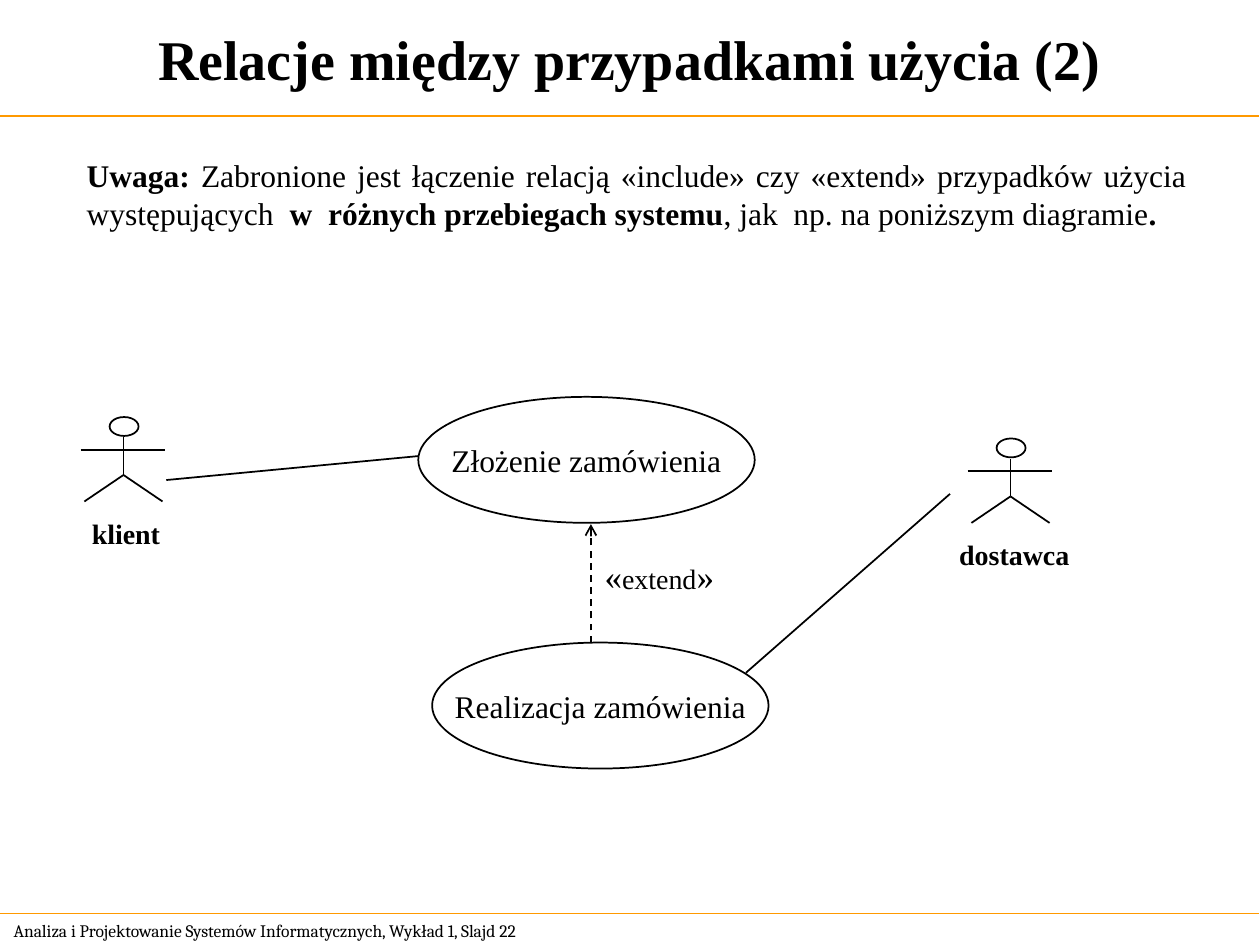
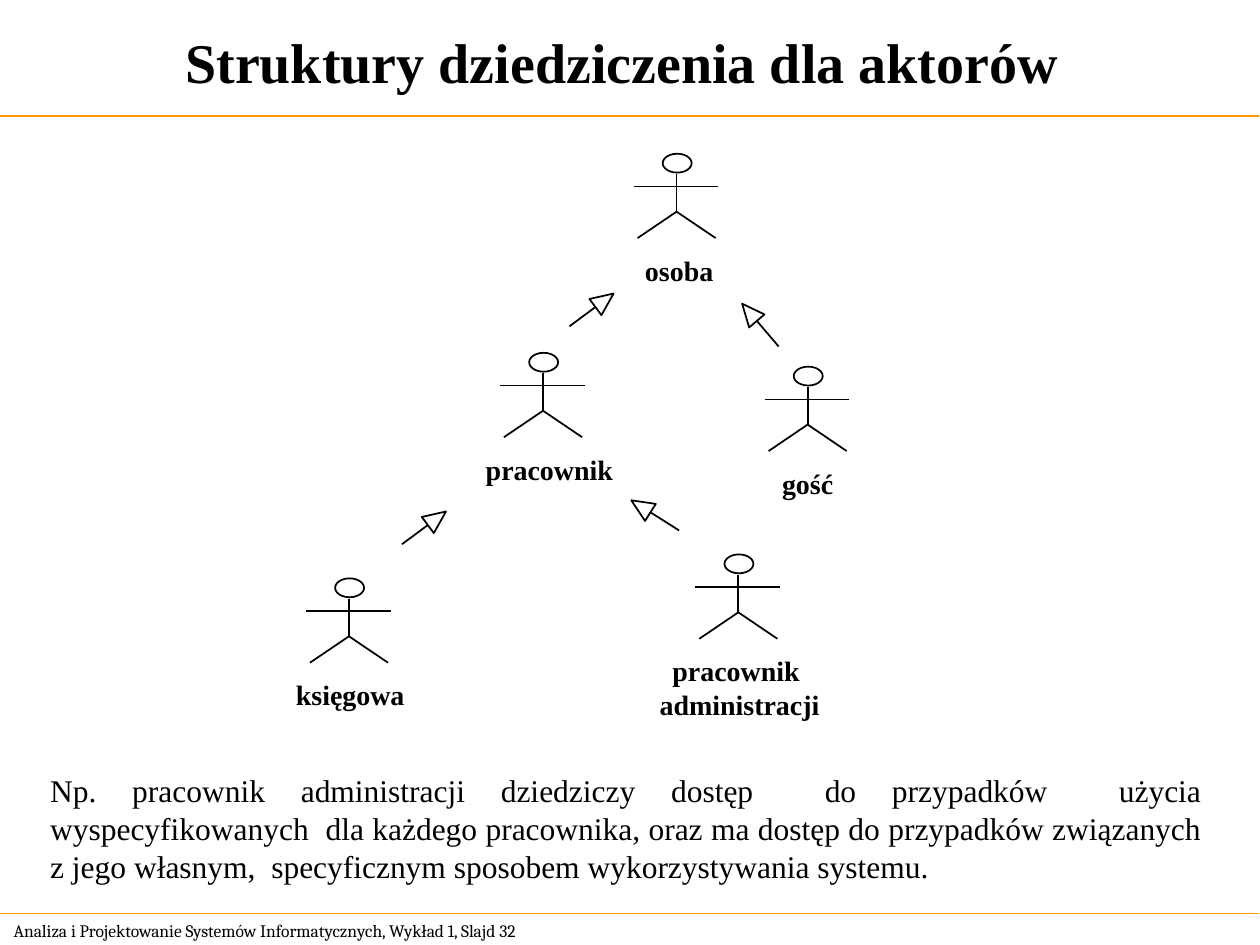
from dataclasses import dataclass
from math import atan2, cos, degrees, sin

from pptx import Presentation
from pptx.dml.color import RGBColor
from pptx.enum.dml import MSO_LINE
from pptx.enum.shapes import MSO_CONNECTOR, MSO_SHAPE
from pptx.enum.text import MSO_ANCHOR, PP_ALIGN
from pptx.oxml.ns import qn
from pptx.util import Inches, Pt


@dataclass(frozen=True)
class Theme:
    ink: RGBColor = RGBColor(0x00, 0x00, 0x00)
    paper: RGBColor = RGBColor(0xFF, 0xFF, 0xFF)
    rule: RGBColor = RGBColor(0xFF, 0x99, 0x00)
    font: str = "Times New Roman"
    footer_font: str = "Cambria"
    title: int = 32
    body: int = 18
    label: int = 16
    footer: int = 10
    rule_width: float = 0.75
    line_width: float = 1


THEME = Theme()

# A line of text is a string or a list of runs: (text, bold, size).
# Actors are (label lines, spine x, top of head, label centre x).
RELATIONS = {
    "title": "Relacje między przypadkami użycia (2)",
    "number": 22,
    "note": [
        ("Uwaga: ", True, THEME.body),
        ("Zabronione jest łączenie relacją «include» czy «extend» przypadków użycia "
         "występujących  ", False, THEME.body),
        ("w  różnych przebiegach systemu", True, THEME.body),
        (", jak  np. na poniższym diagramie", False, THEME.body),
        (".", True, THEME.body),
    ],
    "note_box": (0.59, 1.19, 8.93, 0.7),
    "actors": [
        (["klient"], 0.98, 3.31, 1.0),
        (["dostawca"], 8.02, 3.48, 8.05),
    ],
    "use_cases": [
        ("Złożenie zamówienia", 3.32, 3.15),
        ("Realizacja zamówienia", 3.43, 5.1),
    ],
    "associations": [
        ((1.32, 3.81), (3.32, 3.62)),
        ((7.54, 3.92), (5.92, 5.34)),
    ],
    "extend": ((4.69, 5.1), (4.69, 4.16)),
    "extend_label": [("«", False, 20), ("extend", False, THEME.label), ("»", False, 20)],
    "extend_box": (4.7, 4.35, 1.07, 0.44),
}

INHERITANCE = {
    "title": [
        ("Struktury dziedziczenia dla aktorów", True, THEME.title),
        (" ", True, 36),
    ],
    "number": 32,
    "note": "Np. pracownik administracji dziedziczy dostęp  do przypadków  użycia "
            "wyspecyfikowanych  dla każdego pracownika, oraz ma dostęp do przypadków "
            "związanych z jego własnym,  specyficznym sposobem wykorzystywania systemu.",
    "note_box": (0.3, 6.07, 9.34, 1),
    "actors": [
        (["osoba"], 5.37, 1.22, 5.39),
        (["gość"], 6.41, 2.91, 6.41),
        (["pracownik"], 4.31, 2.8, 4.36),
        (["księgowa"], 2.77, 4.59, 2.78),
        (["pracownik ", "administracji"], 5.86, 4.4, 5.87),
    ],
    "generalizations": [  # (tail, tip)
        ((6.18, 2.75), (5.89, 2.41)),
        ((4.52, 2.59), (4.87, 2.33)),
        ((5.39, 4.21), (5.01, 3.97)),
        ((3.19, 4.32), (3.54, 4.06)),
    ],
}

FOOTER = "Analiza i Projektowanie Systemów Informatycznych, Wykład 1, Slajd {}"
HEADER_Y, FOOTER_Y = 0.92, 7.25
USE_CASE_SIZE = (2.67, 1)
TRIANGLE_WIDTH, TRIANGLE_HEIGHT = 0.16, 0.18


def inches(*lengths):
    return [Inches(length) for length in lengths]


def write(frame, lines, size, bold=False, align=PP_ALIGN.LEFT, font=THEME.font):
    for index, line in enumerate(lines):
        paragraph = frame.paragraphs[0] if index == 0 else frame.add_paragraph()
        paragraph.alignment = align
        paragraph.font.name = font
        paragraph.font.size = Pt(size)
        paragraph.font.bold = bold
        paragraph.font.color.rgb = THEME.ink
        if isinstance(line, str):
            paragraph.add_run().text = line
            continue
        for text, run_bold, run_size in line:
            run = paragraph.add_run()
            run.text = text
            run.font.bold = run_bold
            run.font.size = Pt(run_size)


def add_text(shapes, box, lines, size, wrap=True, anchor=MSO_ANCHOR.TOP, **style):
    frame = shapes.add_textbox(*inches(*box)).text_frame
    frame.word_wrap = wrap
    frame.vertical_anchor = anchor
    write(frame, lines, size, **style)


def add_line(shapes, start, end, color=THEME.ink, width=THEME.line_width):
    connector = shapes.add_connector(MSO_CONNECTOR.STRAIGHT, *inches(*start, *end))
    connector.line.color.rgb = color
    connector.line.width = Pt(width)
    properties = connector._element.spPr
    properties.append(properties.makeelement(qn("a:effectLst"), {}))
    return connector


def add_outline(shapes, preset, box, filled=True):
    outline = shapes.add_shape(preset, *inches(*box))
    outline.shadow.inherit = False
    if filled:
        outline.fill.solid()
        outline.fill.fore_color.rgb = THEME.paper
    else:
        outline.fill.background()
    outline.line.color.rgb = THEME.ink
    outline.line.width = Pt(THEME.line_width)
    return outline


def add_actor(slide, label, x, top, label_x):
    figure = slide.shapes.add_group_shape().shapes
    add_outline(figure, MSO_SHAPE.OVAL, (x - 0.11, top, 0.23, 0.15), filled=False)
    hip = (x, top + 0.46)
    add_line(figure, (x, top + 0.16), hip)
    add_line(figure, (x - 0.34, top + 0.26), (x + 0.33, top + 0.26))
    for side in (-1, 1):
        add_line(figure, hip, (x + side * 0.31, top + 0.67))
    width, height = 1.47, 0.1 + 0.27 * len(label)
    add_text(slide.shapes, (label_x - width / 2, top + 0.74, width, height), label,
             THEME.label, wrap=False, bold=True, align=PP_ALIGN.CENTER)


def add_use_case(slide, name, left, top):
    ellipse = add_outline(slide.shapes, MSO_SHAPE.OVAL, (left, top, *USE_CASE_SIZE))
    ellipse.text_frame.word_wrap = False
    ellipse.text_frame.vertical_anchor = MSO_ANCHOR.MIDDLE
    write(ellipse.text_frame, [name], THEME.body, align=PP_ALIGN.CENTER)


def add_generalization(slide, tail, tip):
    """Line from the child ending in a hollow triangle that points at the parent."""
    angle = atan2(tip[0] - tail[0], tail[1] - tip[1])

    def behind_tip(distance):
        return tip[0] - distance * sin(angle), tip[1] + distance * cos(angle)

    arrow = slide.shapes.add_group_shape().shapes
    x, y = behind_tip(TRIANGLE_HEIGHT / 2)
    triangle = add_outline(arrow, MSO_SHAPE.ISOSCELES_TRIANGLE, (
        x - TRIANGLE_WIDTH / 2, y - TRIANGLE_HEIGHT / 2, TRIANGLE_WIDTH, TRIANGLE_HEIGHT))
    triangle.rotation = degrees(angle) % 360
    add_line(arrow, behind_tip(TRIANGLE_HEIGHT), tail)


def add_extend(slide, start, end):
    connector = add_line(slide.shapes, start, end)
    connector.line.dash_style = MSO_LINE.DASH
    line = connector.line._get_or_add_ln()
    line.append(line.makeelement(qn("a:tailEnd"), {"type": "arrow"}))


def add_base(deck, content):
    """Slide with the parts every slide has: footer, rules, title, note, actors."""
    slide = deck.slides.add_slide(deck.slide_layouts[6])
    add_text(slide.shapes, (0.01, FOOTER_Y, 4.75, 0.27), [FOOTER.format(content["number"])],
             THEME.footer, anchor=MSO_ANCHOR.MIDDLE, font=THEME.footer_font)
    for y in (HEADER_Y, FOOTER_Y):
        add_line(slide.shapes, (-0.01, y), (9.99, y), THEME.rule, THEME.rule_width)
    add_text(slide.shapes, (0, 0, 10, HEADER_Y), [content["title"]], THEME.title,
             anchor=MSO_ANCHOR.MIDDLE, bold=True, align=PP_ALIGN.CENTER)
    add_text(slide.shapes, content["note_box"], [content["note"]], THEME.body,
             align=PP_ALIGN.JUSTIFY)
    for actor in content["actors"]:
        add_actor(slide, *actor)
    return slide


def add_relations(deck):
    slide = add_base(deck, RELATIONS)
    for use_case in RELATIONS["use_cases"]:
        add_use_case(slide, *use_case)
    for start, end in RELATIONS["associations"]:
        add_line(slide.shapes, start, end)
    add_extend(slide, *RELATIONS["extend"])
    add_text(slide.shapes, RELATIONS["extend_box"], [RELATIONS["extend_label"]],
             THEME.label, wrap=False)


def add_inheritance(deck):
    slide = add_base(deck, INHERITANCE)
    for tail, tip in INHERITANCE["generalizations"]:
        add_generalization(slide, tail, tip)


def main():
    deck = Presentation()
    deck.slide_width, deck.slide_height = inches(10, 7.5)
    add_relations(deck)
    add_inheritance(deck)
    deck.save("out.pptx")


if __name__ == "__main__":
    main()
